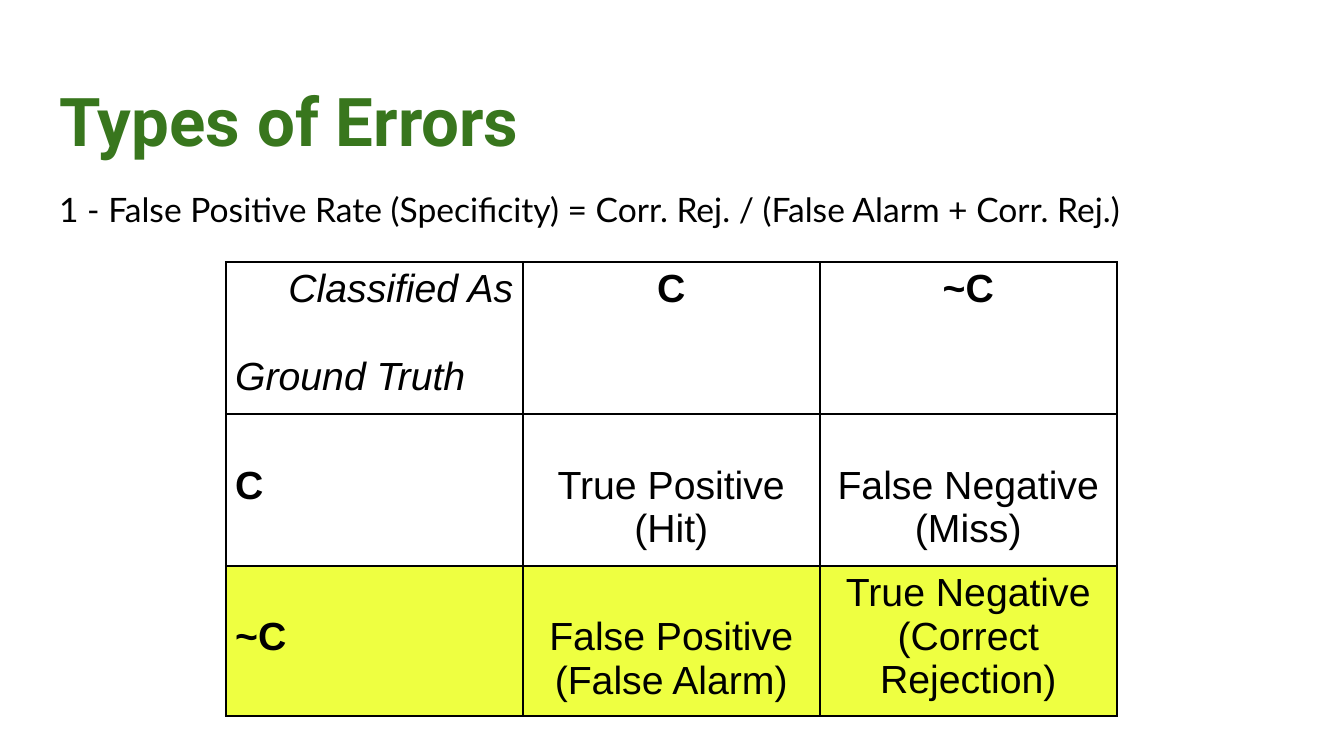
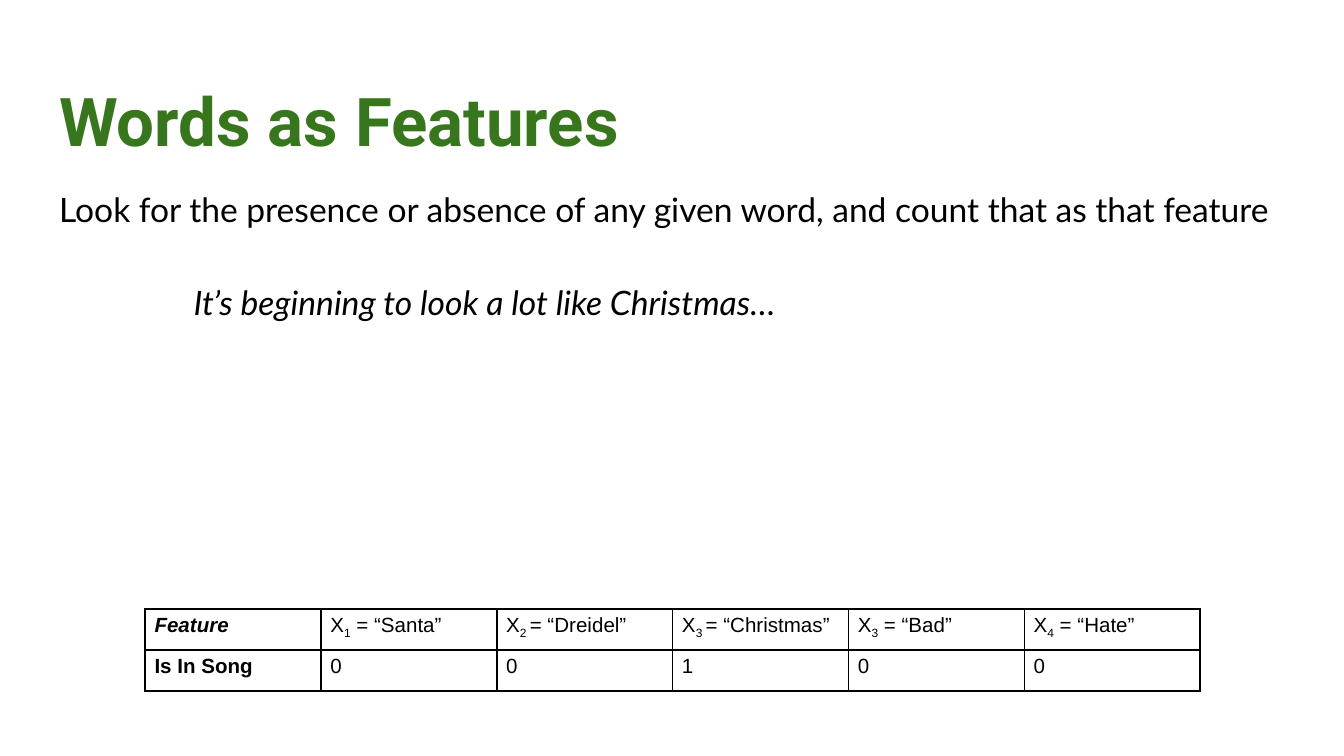
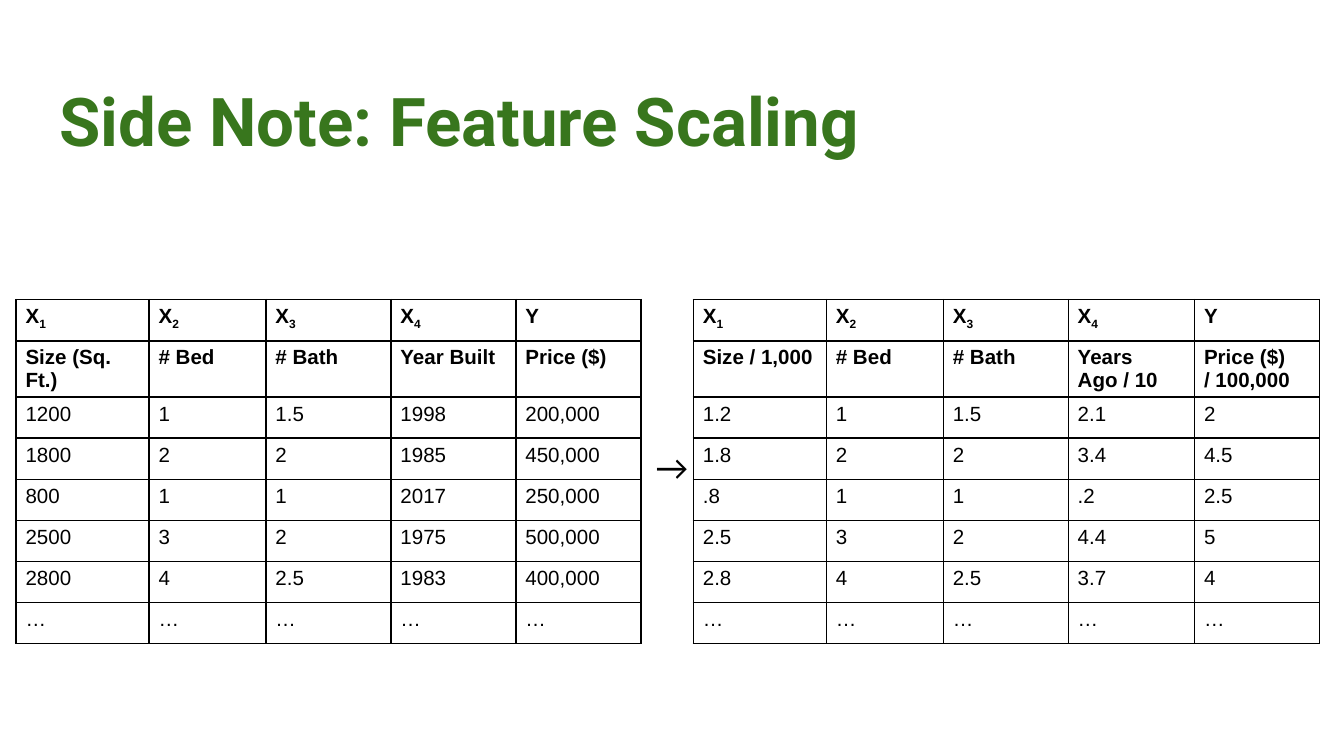
"""Build three machine-learning slides on errors, word features and scaling."""
from lxml import etree
from pptx import Presentation
from pptx import util as u
from pptx.dml.color import RGBColor
from pptx.enum import text
from pptx.oxml.ns import qn

COLORS = {"title": "38761D", "ink": "000000", "paper": "FFFFFF", "mark": "EEFF41"}
TITLE = {"name": "Roboto", "size": u.Pt(36), "bold": True}
BODY = {"name": "Lato", "size": u.Pt(18), "bold": False}
CELL = {"name": "Arial", "bold": False, "italic": False}
LEFT, CENTER, RIGHT = text.PP_ALIGN.LEFT, text.PP_ALIGN.CENTER, text.PP_ALIGN.RIGHT
BODY_BOX = (0.34, 1.26, 9.32, 3.74)
BLANK_LINE = 0.33


def set_font(font, fmt, color="ink"):
    """Apply a dict of font values and a named colour."""
    for key, value in fmt.items():
        setattr(font, key, value)
    font.color.rgb = RGBColor.from_string(COLORS[color])


def place(sp, box):
    """Move a placeholder and give its text frame fixed insets."""
    sp.left, sp.top, sp.width, sp.height = map(u.Inches, box)
    tf = sp.text_frame
    frame = {"word_wrap": True, "auto_size": text.MSO_AUTO_SIZE.NONE,
             "vertical_anchor": text.MSO_ANCHOR.TOP}
    frame.update({f"margin_{side}": u.Inches(0.1) for side in ("left", "right", "top", "bottom")})
    for key, value in frame.items():
        setattr(tf, key, value)
    return tf


def add_slide(prs, title):
    """Add a slide with the shared title style."""
    s = prs.slides.add_slide(prs.slide_layouts[1])
    p = place(s.shapes.title, (0.34, 0.49, 9.32, 0.63)).paragraphs[0]
    p.alignment = LEFT
    r = p.add_run()
    r.text = title
    set_font(r.font, TITLE, "title")
    return s


def add_body(s, lines, box=BODY_BOX, align=LEFT):
    """Fill the body placeholder from (text, indent, space before, italic) lines."""
    tf = place(s.placeholders[1], box)
    for i, (line, indent, before, italic) in enumerate(lines):
        p = tf.add_paragraph() if i else tf.paragraphs[0]
        pPr = p._p.get_or_add_pPr()
        pPr.set("marL", str(u.Inches(indent)))
        pPr.set("indent", "0")
        etree.SubElement(pPr, qn("a:buNone"))
        p.alignment, p.line_spacing, p.space_before = align, 1.15, u.Pt(before)
        r = p.add_run()
        r.text = line
        set_font(r.font, {**BODY, "italic": italic})
    return tf


def add_borders(cell):
    """Draw a thin line on all four sides of a cell."""
    tcPr = cell._tc.get_or_add_tcPr()
    for i, side in enumerate("LRTB"):
        ln = etree.Element(qn(f"a:ln{side}"), w=str(u.Pt(1)))
        fill = etree.SubElement(ln, qn("a:solidFill"))
        etree.SubElement(fill, qn("a:srgbClr"), val=COLORS["ink"])
        tcPr.insert(i, ln)


def write_cell(cell, content, fmt, align=LEFT, fill="paper"):
    """Write a cell; newlines part paragraphs, underscores enclose subscripts."""
    cell.margin_left = cell.margin_right = u.Inches(0.07)
    cell.margin_top = cell.margin_bottom = u.Inches(0.04)
    if fill:
        cell.fill.solid()
        cell.fill.fore_color.rgb = RGBColor.from_string(COLORS[fill])
    else:
        cell.fill.background()
    add_borders(cell)
    for i, line in enumerate(content.split("\n")):
        p = cell.text_frame.add_paragraph() if i else cell.text_frame.paragraphs[0]
        p.alignment = align
        for j, part in enumerate(line.split("_")):
            if part:
                r = p.add_run()
                r.text = part
                set_font(r.font, {**CELL, **fmt})
                if j % 2:
                    r._r.get_or_add_rPr().set("baseline", "-25000")


def add_grid(s, left, top, cols, rows):
    """Add an unstyled table with the given column widths and row heights."""
    box = map(u.Inches, (left, top, sum(cols), sum(rows)))
    table = s.shapes.add_table(len(rows), len(cols), *box).table
    table.first_row = table.horz_banding = False
    for col, width in zip(table.columns, cols):
        col.width = u.Inches(width)
    for row, height in zip(table.rows, rows):
        row.height = u.Inches(height)
    return table


def add_confusion_matrix(s):
    """Add the error matrix with its last row marked."""
    rows = [
        ["Classified As\nGround Truth", "C", "~C"],
        ["C", "True Positive\n(Hit)", "False Negative\n(Miss)"],
        ["~C", "False Positive\n(False Alarm)", "True Negative\n(Correct Rejection)"],
    ]
    table = add_grid(s, 1.68, 1.95, [2.21] * 3, [1.13, 1.13, 1.12])
    for i, row in enumerate(rows):
        for j, content in enumerate(row):
            corner = i == j == 0
            cell = table.cell(i, j)
            fmt = {"size": u.Pt(21), "italic": corner, "bold": (i == 0) != (j == 0)}
            write_cell(cell, content, fmt, CENTER if j else LEFT, "mark" if i == 2 else None)
            if i and (i, j) != (2, 2):
                cell.margin_top = u.Inches(0.04 + BLANK_LINE)
    first, second = table.cell(0, 0).text_frame.paragraphs
    first.alignment = RIGHT
    second.space_before = u.Inches(BLANK_LINE)


def add_song_table(s):
    """Add the table of word features."""
    rows = [
        ["Feature", "X_1_ = “Santa”", "X_2 _= “Dreidel”", "X_3 _= “Christmas”",
         "X_3_ = “Bad”", "X_4_ = “Hate”"],
        ["Is In Song", "0", "0", "1", "0", "0"],
    ]
    table = add_grid(s, 1.08, 4.53, [7.85 / 6] * 6, [0.61 / 2] * 2)
    for i, row in enumerate(rows):
        for j, content in enumerate(row):
            fmt = {"size": u.Pt(11), "bold": j == 0, "italic": i == j == 0}
            write_cell(table.cell(i, j), content, fmt)


def add_house_table(s, left, cols, labels, records):
    """Add a table of houses under two bold header rows."""
    rows = [["X_1_", "X_2_", "X_3_", "X_4_", "Y"], labels, *records, ["…"] * 5]
    label_height = 0.42
    height = (2.56 - label_height) / (len(rows) - 1)
    heights = [height, label_height] + [height] * (len(rows) - 2)
    table = add_grid(s, left, 2.23, cols, heights)
    for i, row in enumerate(rows):
        for j, content in enumerate(row):
            write_cell(table.cell(i, j), content, {"size": u.Pt(11), "bold": i < 2})


def main():
    """Build and save the deck."""
    prs = Presentation()
    prs.slide_width = u.Inches(10)
    prs.slide_height = prs.slide_width * 9 // 16

    s = add_slide(prs, "Types of Errors")
    add_body(s, [("1 - False Positive Rate (Specificity) = Corr. Rej. / (False Alarm + Corr. Rej.)",
                  0, 0, False)])
    add_confusion_matrix(s)

    s = add_slide(prs, "Words as Features")
    add_body(s, [
        ("Look for the presence or absence of any given word, and count that as that feature",
         0, 0, False),
        ("It’s beginning to look a lot like Christmas…", 1, 25, True),
    ])
    add_song_table(s)

    s = add_slide(prs, "Side Note: Feature Scaling")
    tf = add_body(s, [("→", 0, 0, False)], (0.69, 1.5, 8.62, 4.13), CENTER)
    tf.margin_top = u.Inches(1.78)
    labels = ["Size (Sq. Ft.)", "# Bed", "# Bath", "Year Built", "Price ($)"]
    add_house_table(s, 0.12, [0.99, 0.87, 0.93, 0.93, 0.93], labels, [
        ["1200", "1", "1.5", "1998", "200,000"],
        ["1800", "2", "2", "1985", "450,000"],
        ["800", "1", "1", "2017", "250,000"],
        ["2500", "3", "2", "1975", "500,000"],
        ["2800", "4", "2.5", "1983", "400,000"],
    ])
    labels = ["Size / 1,000", "# Bed", "# Bath", "Years Ago / 10", "Price ($)\n/ 100,000"]
    add_house_table(s, 5.16, [0.99, 0.87, 0.93, 0.94, 0.93], labels, [
        ["1.2", "1", "1.5", "2.1", "2"],
        ["1.8", "2", "2", "3.4", "4.5"],
        [".8", "1", "1", ".2", "2.5"],
        ["2.5", "3", "2", "4.4", "5"],
        ["2.8", "4", "2.5", "3.7", "4"],
    ])
    prs.save("out.pptx")


if __name__ == "__main__":
    main()
